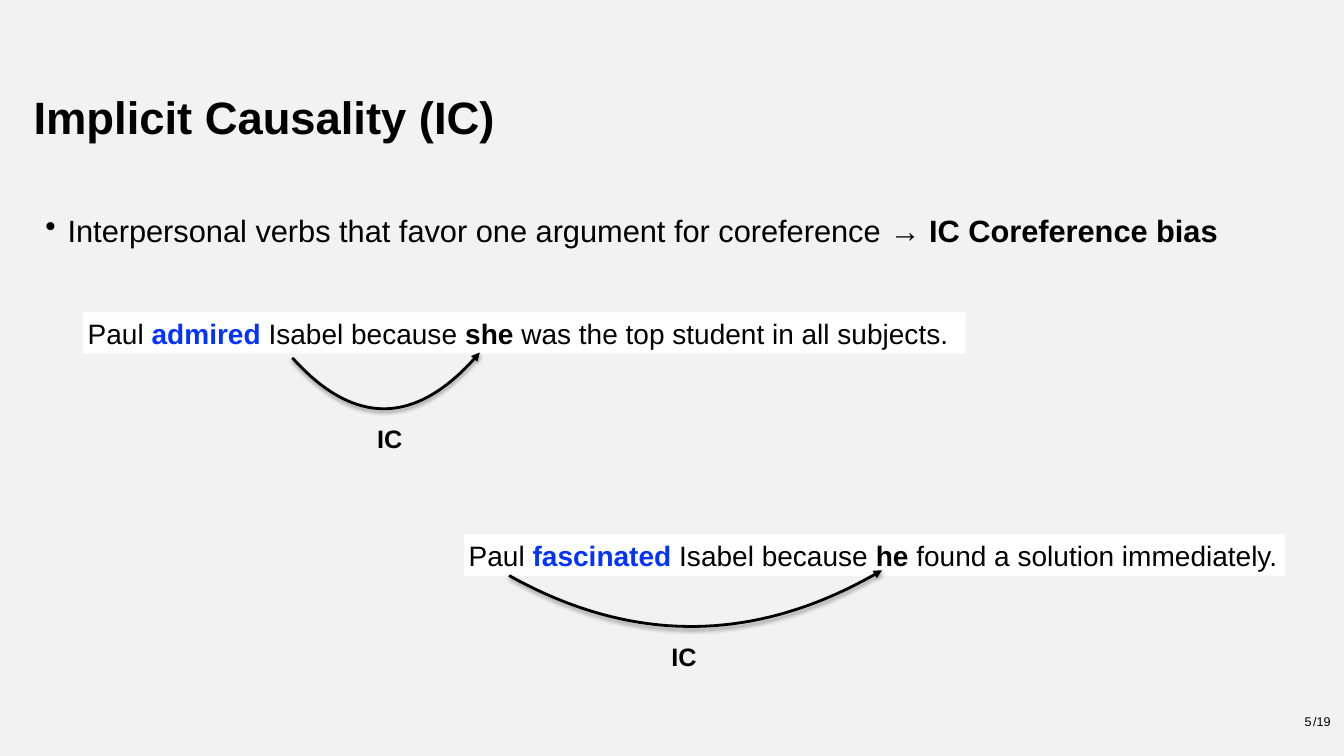
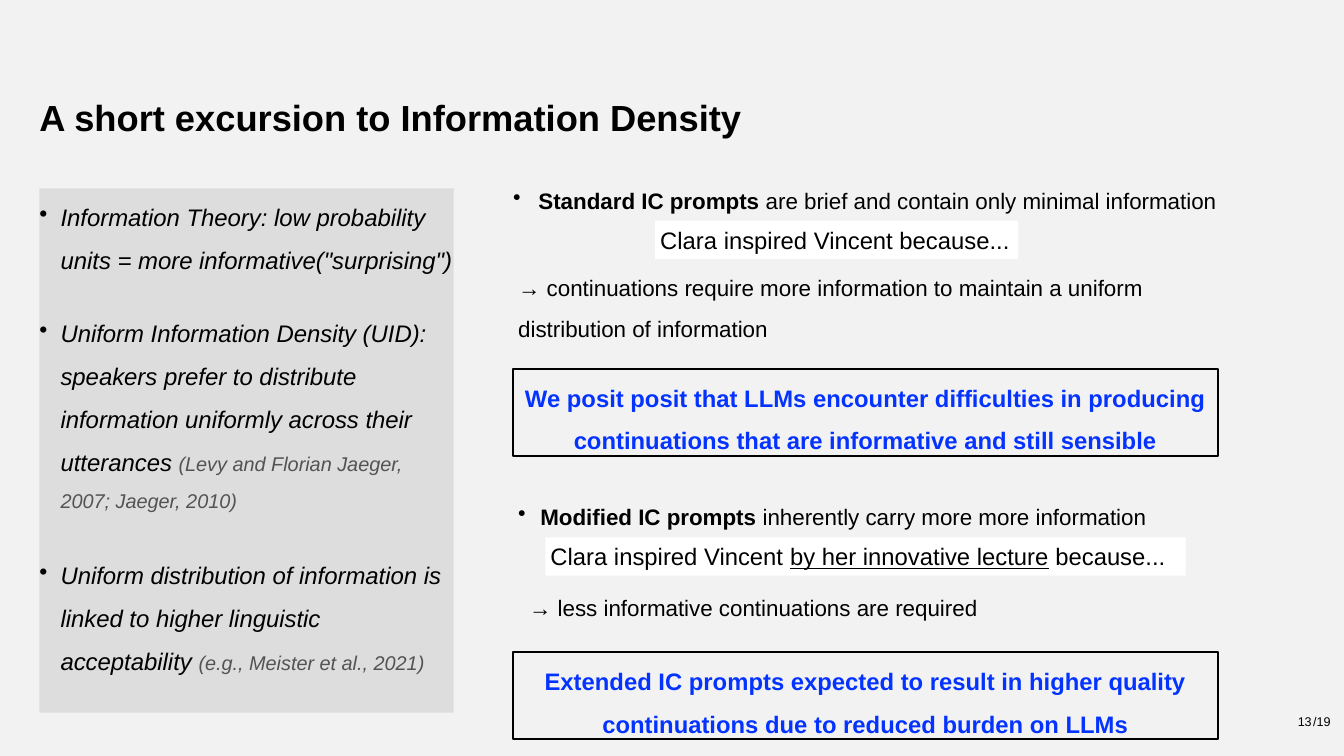
from lxml import etree
from pptx import Presentation
from pptx.dml.color import RGBColor
from pptx.enum.shapes import MSO_SHAPE
from pptx.enum.text import MSO_ANCHOR, PP_ALIGN
from pptx.oxml.ns import qn
from pptx.util import Inches, Pt

RECT = MSO_SHAPE.RECTANGLE
TOP, MID = MSO_ANCHOR.TOP, MSO_ANCHOR.MIDDLE
LEFT, MIDDLE, RIGHT = PP_ALIGN.LEFT, PP_ALIGN.CENTER, PP_ALIGN.RIGHT

BLACK = RGBColor(0x00, 0x00, 0x00)
WHITE = RGBColor(0xFF, 0xFF, 0xFF)
BLUE = RGBColor(0x04, 0x33, 0xFF)
PALE = RGBColor(0xF2, 0xF2, 0xF2)
GREY = RGBColor(0xDD, 0xDD, 0xDD)
DIM = RGBColor(0x53, 0x53, 0x53)

FONT = "Arial"
PAD = Inches(0.05)

deck = Presentation()
deck.slide_width, deck.slide_height = Inches(13.33), Inches(7.5)
COL, ROW = deck.slide_width / 100, deck.slide_height / 100

# Shared background
back = deck.slide_master.background.fill
back.solid()
back.fore_color.rgb = PALE


def put(slide, box, *paras, size=16, color=BLACK, bold=False, ital=False,
        align=LEFT, anchor=TOP, gap=1.0, after=(), pad=(PAD, PAD),
        hang=0, fill=None, edge=None):
    """Place text at box (column, row, columns, rows).

    A paragraph is a list of runs, each a string or (string, format);
    pad is side and top, hang the bullet indent in columns.
    """
    x, y, w, h = box
    area = [int(x * COL), int(y * ROW), int(w * COL), int(h * ROW)]
    if fill or edge:
        shape = slide.shapes.add_shape(RECT, *area)
        shape.shadow.inherit = False
        if fill:
            shape.fill.solid()
            shape.fill.fore_color.rgb = fill
        else:
            shape.fill.background()
        if edge:
            shape.line.color.rgb = edge
            shape.line.width = Pt(1.5)
        else:
            shape.line.fill.background()
    else:
        shape = slide.shapes.add_textbox(*area)
    frame = shape.text_frame
    frame.word_wrap = True
    frame.vertical_anchor = anchor
    frame.margin_left = frame.margin_right = pad[0]
    frame.margin_top = pad[1]
    frame.margin_bottom = pad[0]
    for i, runs in enumerate(paras):
        para = frame.add_paragraph() if i else frame.paragraphs[0]
        para.alignment = align
        para.line_spacing = gap
        if i < len(after):
            para.space_after = Pt(after[i])
        if hang:
            props = para._p.get_or_add_pPr()
            props.set("marL", str(int(hang * COL)))
            props.set("indent", str(-int(hang * COL)))
            etree.SubElement(props, qn("a:buChar")).set("char", "•")
        for part in runs:
            text, look = (part, {}) if isinstance(part, str) else part
            run = para.add_run()
            run.text = text
            font = run.font
            font.name = FONT
            font.size = Pt(look.get("size", size))
            font.bold = look.get("bold", bold)
            font.italic = ital
            font.underline = look.get("under", False)
            font.color.rgb = look.get("color", color)


def arc(slide, x, y, span):
    """Draw a hanging curve with an arrowhead, span columns wide."""
    steps = 40
    dots = []
    for i in range(steps + 1):
        t = i / steps
        drop = 27.6 * t * (1 - t) ** 2 + 27 * t ** 2 * (1 - t) - 0.7 * t ** 3
        dots.append((int((x + span * t) * COL), int((y + drop) * ROW)))
    pen = slide.shapes.build_freeform(*dots[0])
    pen.add_line_segments(dots[1:], close=False)
    curve = pen.convert_to_shape()
    curve.fill.background()
    curve.line.color.rgb = BLACK
    curve.line.width = Pt(2)
    curve.shadow.inherit = False
    props = curve._element.spPr
    etree.SubElement(props.find(qn("a:ln")), qn("a:tailEnd")).set("type", "triangle")
    shade = etree.SubElement(
        props.find(qn("a:effectLst")), qn("a:outerShdw"),
        blurRad=str(Pt(3)), dist=str(Pt(1.6)), dir="5400000", rotWithShape="0")
    tint = etree.SubElement(shade, qn("a:srgbClr"), val=str(BLACK))
    etree.SubElement(tint, qn("a:alpha"), val="38000")


BOLD = {"bold": True}
PLAIN = {"bold": False}
VERB = {"bold": True, "color": BLUE}
CITE = {"size": 14.2, "color": DIM}
FLAT = (0, 0)

# Titles and page numbers
slides = []
for title, x, size, page in (
        ("Implicit Causality (IC)", 2.5, 32.4, "5"),
        ("A short excursion to Information Density", 2.93, 25.9, "13")):
    slide = deck.slides.add_slide(deck.slide_layouts[6])
    put(slide, (x, 12.5, 95, 6.7), [title], size=size, bold=True,
        gap=0.9, anchor=MID, pad=FLAT)
    for text, end in ((page, 97.6), ("/19", 99)):
        put(slide, (end - 1.5, 94.4, 1.5, 2), [text], size=9,
            align=RIGHT, pad=FLAT)
    slides.append(slide)
verbs, density = slides

# Implicit causality: lead line
put(verbs, (3.38, 25.6, 95.4, 10.8),
    ["Interpersonal verbs that favor one argument for coreference ",
     ("→ IC Coreference bias", BOLD)],
    size=22, gap=1.5, hang=1.65, pad=FLAT)

# Example sentences, each with its arc and label
for box, verb, who, rest, bow, label in (
        ((6.15, 41.33, 65.7, 5.47), "admired", "she",
         " was the top student in all subjects.",
         (21.75, 47.33, 13.95), (27.68, 4.6)),
        ((34.5, 70.67, 61.13, 5.47), "fascinated", "he",
         " found a solution immediately.",
         (37.88, 76.13, 27.75), (49.58, 9.2))):
    put(verbs, box, ["Paul ", (verb, VERB), " Isabel because ", (who, BOLD), rest],
        size=20, fill=WHITE, anchor=MID)
    arc(verbs, *bow)
    put(verbs, (label[0], bow[1] + 8, label[1], 5.07), ["IC"], size=18, bold=True)

# Information density: theory panel
put(density, (2.93, 24.93, 30.83, 69.33),
    ['Information Theory: low probability units = more informative("surprising")'],
    ["Uniform Information Density (UID): speakers prefer to distribute "
     "information uniformly across their utterances ",
     ("(Levy and Florian Jaeger, 2007; Jaeger, 2010)", CITE)],
    ["Uniform distribution of information is linked to higher linguistic acceptability ",
     ("(e.g., Meister et al., 2021)", CITE)],
    size=17.1, ital=True, gap=1.5, hang=1.58, after=(21, 24), pad=FLAT, fill=GREY)

# Prompt samples on white
for box, runs in (
        ((48.75, 29.2, 27, 5.07), ["Clara inspired Vincent because..."]),
        ((40.58, 71.07, 47.63, 5.07),
         ["Clara inspired Vincent ", ("by her innovative lecture", {"under": True}),
          " because..."])):
    put(density, box, runs, size=17, fill=WHITE, anchor=MID)

# Prompt kinds and what follows from them
EDGE = 38.18
put(density, (EDGE, 22.93, 55.5, 4.27),
    [("Standard IC prompts ", BOLD), "are brief and contain only minimal information"],
    gap=1.5, hang=1.88, pad=FLAT)
put(density, (EDGE, 33.87, 55.5, 9.47),
    [("→", BOLD), " continuations require more information to maintain "
     "a uniform distribution of information"], gap=1.5)
put(density, (EDGE, 64.13, 55.5, 4.53),
    [("Modified IC prompts", BOLD), " inherently carry more more information"],
    gap=1.5, hang=1.65)
put(density, (39, 76.13, 58.13, 4.53),
    ["→ less informative continuations are required"], gap=1.5)

# Framed claims
for y, claim in (
        (48.8, "We posit posit that LLMs encounter difficulties in producing "
               "continuations that are informative and still sensible"),
        (86.27, "Extended IC prompts expected to result in higher quality "
                "continuations due to reduced burden on LLMs")):
    put(density, (EDGE, y, 52.43, 11.47), [claim], size=17, color=BLUE, bold=True,
        align=MIDDLE, gap=1.5, pad=(PAD, 0), edge=BLACK)

deck.save("out.pptx")
